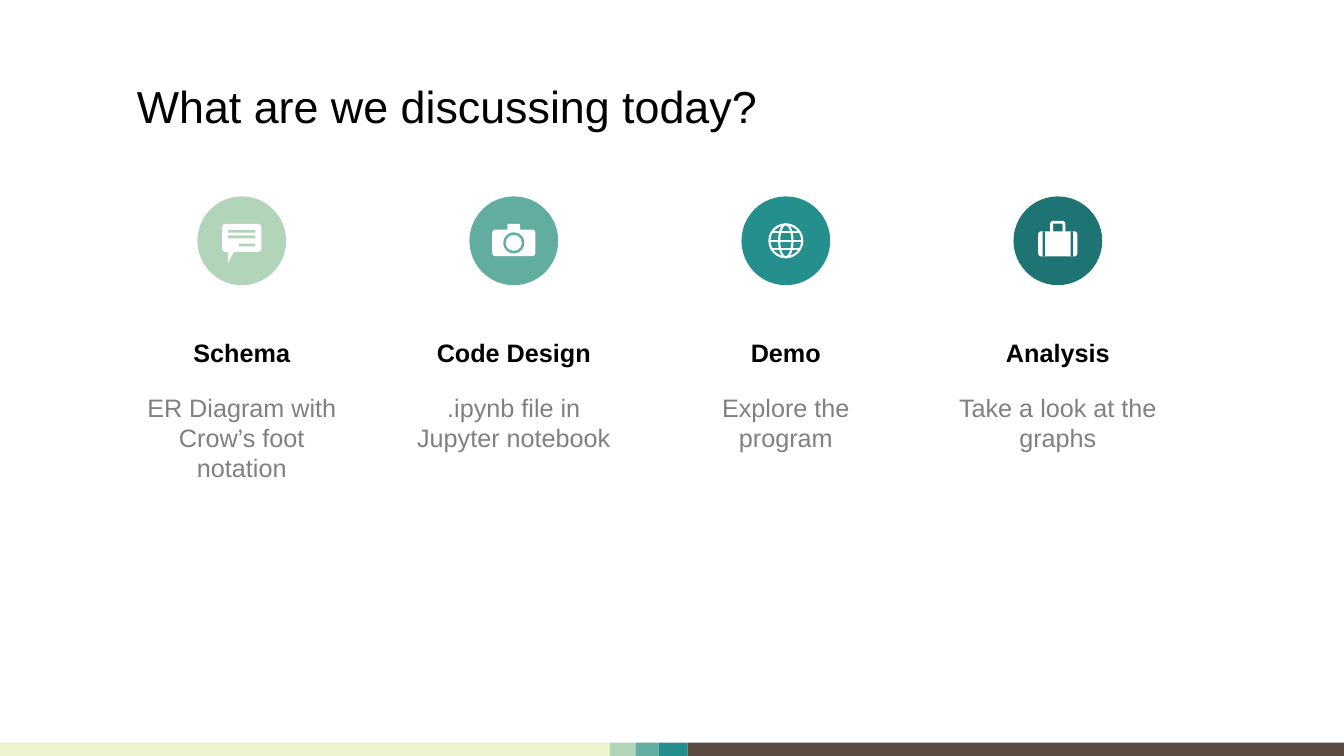
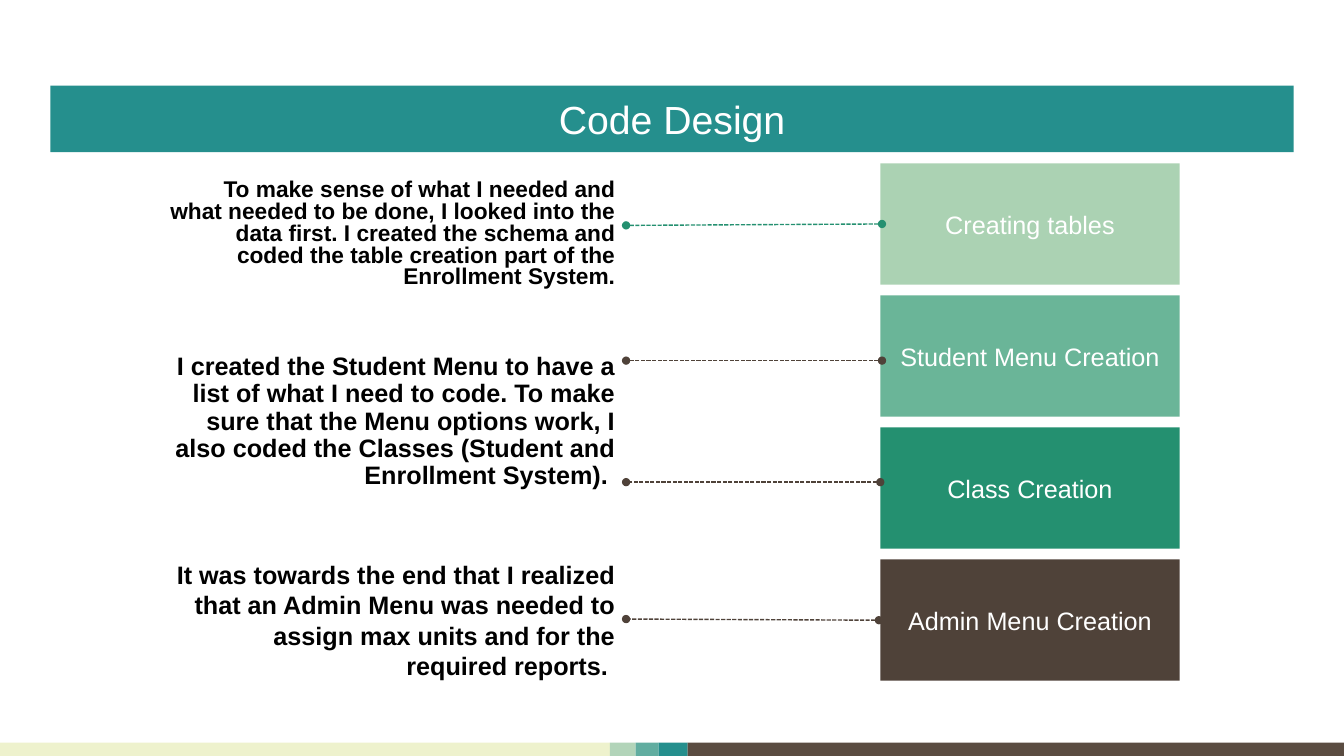
from lxml import etree
from pptx import Presentation
from pptx.dml.color import RGBColor
from pptx.enum import dml, shapes, text
from pptx.oxml import ns
from pptx.util import Pt

# Shared style
FONT = "Arial"
WHITE = RGBColor(0xFF, 0xFF, 0xFF)
BLACK = RGBColor(0x00, 0x00, 0x00)
GRAY = RGBColor(0x80, 0x80, 0x80)
CREAM = RGBColor(0xEE, 0xF2, 0xCD)
MINT = RGBColor(0xB2, 0xD4, 0xB9)
SEA = RGBColor(0x61, 0xAD, 0xA0)
TEAL = RGBColor(0x25, 0x8F, 0x8D)
DEEP_TEAL = RGBColor(0x1E, 0x74, 0x72)
BROWN = RGBColor(0x5A, 0x4C, 0x41)
PALE_GREEN = RGBColor(0xAB, 0xD2, 0xB3)
MID_GREEN = RGBColor(0x6A, 0xB5, 0x98)
GREEN = RGBColor(0x24, 0x90, 0x70)
DARK_BROWN = RGBColor(0x4F, 0x42, 0x39)

WIDTH, HEIGHT = 960, 540
RECT = shapes.MSO_SHAPE.RECTANGLE
ROUND = shapes.MSO_SHAPE.ROUNDED_RECTANGLE
OVAL = shapes.MSO_SHAPE.OVAL
LEFT, CENTER, RIGHT = text.PP_ALIGN.LEFT, text.PP_ALIGN.CENTER, text.PP_ALIGN.RIGHT
TOP, MIDDLE = text.MSO_ANCHOR.TOP, text.MSO_ANCHOR.MIDDLE


# Basic elements
def paint(sp, fill, line=None, weight=1.5):
    sp.shadow.inherit = False
    if fill is None:
        sp.fill.background()
    else:
        sp.fill.solid()
        sp.fill.fore_color.rgb = fill
    if line is None:
        sp.line.fill.background()
    else:
        sp.line.color.rgb = line
        sp.line.width = Pt(weight)


def add_box(parent, kind, x, y, w, h, fill, line=None, weight=1.5):
    sp = parent.add_shape(kind, Pt(x), Pt(y), Pt(w), Pt(h))
    if kind == ROUND:
        sp.adjustments[0] = 0.12
    paint(sp, fill, line, weight)
    return sp


def write(sp, words, size, color, align, anchor=MIDDLE, bold=False, spacing=None):
    tf = sp.text_frame
    tf.word_wrap = True
    tf.vertical_anchor = anchor
    p = tf.paragraphs[0]
    p.text = words
    p.alignment = align
    p.line_spacing = spacing
    p.font.name = FONT
    p.font.size = Pt(size)
    p.font.bold = bold
    p.font.color.rgb = color


def add_text(s, x, y, w, h, *args, **style):
    write(s.shapes.add_textbox(Pt(x), Pt(y), Pt(w), Pt(h)), *args, **style)


def add_line(parent, x1, y1, x2, y2, color, weight):
    c = parent.add_connector(shapes.MSO_CONNECTOR.STRAIGHT,
                             Pt(x1), Pt(y1), Pt(x2), Pt(y2))
    c.line.color.rgb = color
    c.line.width = Pt(weight)
    etree.SubElement(c._element.spPr, ns.qn("a:effectLst"))
    return c


def add_dotted_link(s, x1, y1, x2, y2, color):
    c = add_line(s.shapes, x1, y1, x2, y2, color, 1)
    c.line.dash_style = dml.MSO_LINE.SQUARE_DOT
    ln = c.line._get_or_add_ln()
    for end in ("a:headEnd", "a:tailEnd"):
        etree.SubElement(ln, ns.qn(end), type="oval")


def add_slide(prs):
    s = prs.slides.add_slide(prs.slide_layouts[6])
    # Footer band
    edges = (0, 435.7, 454, 470.5, 491.2, WIDTH)
    colors = (CREAM, MINT, SEA, TEAL, BROWN)
    for x, end, color in zip(edges, edges[1:], colors):
        add_box(s.shapes, RECT, x, 530.5, end - x, HEIGHT - 530.5, color)
    return s


# Icons, drawn around the centre (cx, cy) of their disc
def speech_icon(g, cx, cy, disc):
    add_box(g, ROUND, cx - 14, cy - 12, 28, 20, WHITE)
    fb = g.build_freeform(Pt(cx - 10), Pt(cy + 7.5))
    fb.add_line_segments([(Pt(cx - 10), Pt(cy + 16)), (Pt(cx - 5.5), Pt(cy + 7.5))])
    paint(fb.convert_to_shape(), WHITE)
    for x, y in ((-9.8, -7.8), (-9.8, -3.8), (-2, 2)):
        add_box(g, RECT, cx + x, cy + y, 9.8 - x, 2, disc)


def camera_icon(g, cx, cy, disc):
    add_box(g, ROUND, cx - 15.4, cy - 8, 30.8, 19, WHITE)
    add_box(g, ROUND, cx - 4.5, cy - 12, 9, 6, WHITE)
    for d, color in ((15, disc), (11.5, WHITE)):
        add_box(g, OVAL, cx - d / 2, cy + 1.5 - d / 2, d, d, color)


def globe_icon(g, cx, cy, disc):
    for w in (23.5, 9.5):
        add_box(g, OVAL, cx - w / 2, cy - 11.75, w, 23.5, None, WHITE)
    for y, half in ((-6, 10), (0, 11.75), (6, 10)):
        add_line(g, cx - half, cy + y, cx + half, cy + y, WHITE, 1.5)


def suitcase_icon(g, cx, cy, disc):
    add_box(g, ROUND, cx - 4.4, cy - 13.2, 8.8, 9, None, WHITE, 2)
    add_box(g, ROUND, cx - 14, cy - 6.8, 28, 18, WHITE)
    for x in (-10, 10):
        add_box(g, RECT, cx + x - 0.8, cy - 6.8, 1.6, 18, disc)


def add_topic(s, x, icon, disc, heading, detail):
    w, d, cy = 164, 63.4, 172
    cx = x + w / 2
    g = s.shapes.add_group_shape().shapes
    add_box(g, OVAL, cx - d / 2, cy - d / 2, d, d, disc)
    icon(g, cx, cy, disc)
    add_text(s, x, 237.6, w, 28.8, heading, 18, BLACK, CENTER, TOP, bold=True)
    add_text(s, x, 276.5, w, 208, detail, 18, GRAY, CENTER, TOP)


# Slides
def agenda_slide(prs):
    s = add_slide(prs)
    add_text(s, 90.7, 30.2, 710, 90, "What are we discussing today?", 32, BLACK, LEFT)
    topics = (
        (speech_icon, MINT, "Schema", "ER Diagram with Crow’s foot notation"),
        (camera_icon, SEA, "Code Design", ".ipynb file in Jupyter notebook"),
        (globe_icon, TEAL, "Demo", "Explore the program"),
        (suitcase_icon, DEEP_TEAL, "Analysis", "Take a look at the graphs"),
    )
    for i, topic in enumerate(topics):
        add_topic(s, 90.7 + i * 194.3, *topic)


def code_design_slide(prs):
    s = add_slide(prs)
    # Steps
    steps = (("Creating tables", PALE_GREEN), ("Student Menu Creation", MID_GREEN),
             ("Class Creation", GREEN), ("Admin Menu Creation", DARK_BROWN))
    for i, (label, color) in enumerate(steps):
        sp = add_box(s.shapes, RECT, 628.8, 116.7 + i * 94.3, 213.8, 86.6, color)
        write(sp, label, 18, WHITE, CENTER)
    # Links from steps to explanations
    links = ((630, 160, 161, GREEN), (630, 257.6, 257.6, DARK_BROWN),
             (628.8, 344.4, 344.4, DARK_BROWN), (627.8, 443, 442.2, DARK_BROWN))
    for x, y1, y2, color in links:
        add_dotted_link(s, x, y1, 447.2, y2, color)
    # Explanations
    notes = (
        (125.3, 86.4, 16.2, TOP, 0.8,
         "To make sense of what I needed and what needed to be done, I looked into "
         "the data first. I created the schema and coded the table creation part of "
         "the Enrollment System."),
        (211, 180.7, 18, MIDDLE, 0.9,
         "I created the Student Menu to have a list of what I need to code. To make "
         "sure that the Menu options work, I also coded the Classes (Student and "
         "Enrollment System). "),
        (399.6, 86.4, 18, MIDDLE, None,
         "It was towards the end that I realized that an Admin Menu was needed to "
         "assign max units and for the required reports. "),
    )
    for y, h, size, anchor, spacing, words in notes:
        add_text(s, 113.8, y, 332.6, h, words, size, BLACK, RIGHT, anchor,
                 bold=True, spacing=spacing)
    # Title banner
    banner = add_box(s.shapes, RECT, 36, 61.2, 888, 47.5, TEAL)
    write(banner, "Code Design", 28, WHITE, CENTER)


def main():
    prs = Presentation()
    prs.slide_width, prs.slide_height = Pt(WIDTH), Pt(HEIGHT)
    agenda_slide(prs)
    code_design_slide(prs)
    prs.save("out.pptx")


if __name__ == "__main__":
    main()
